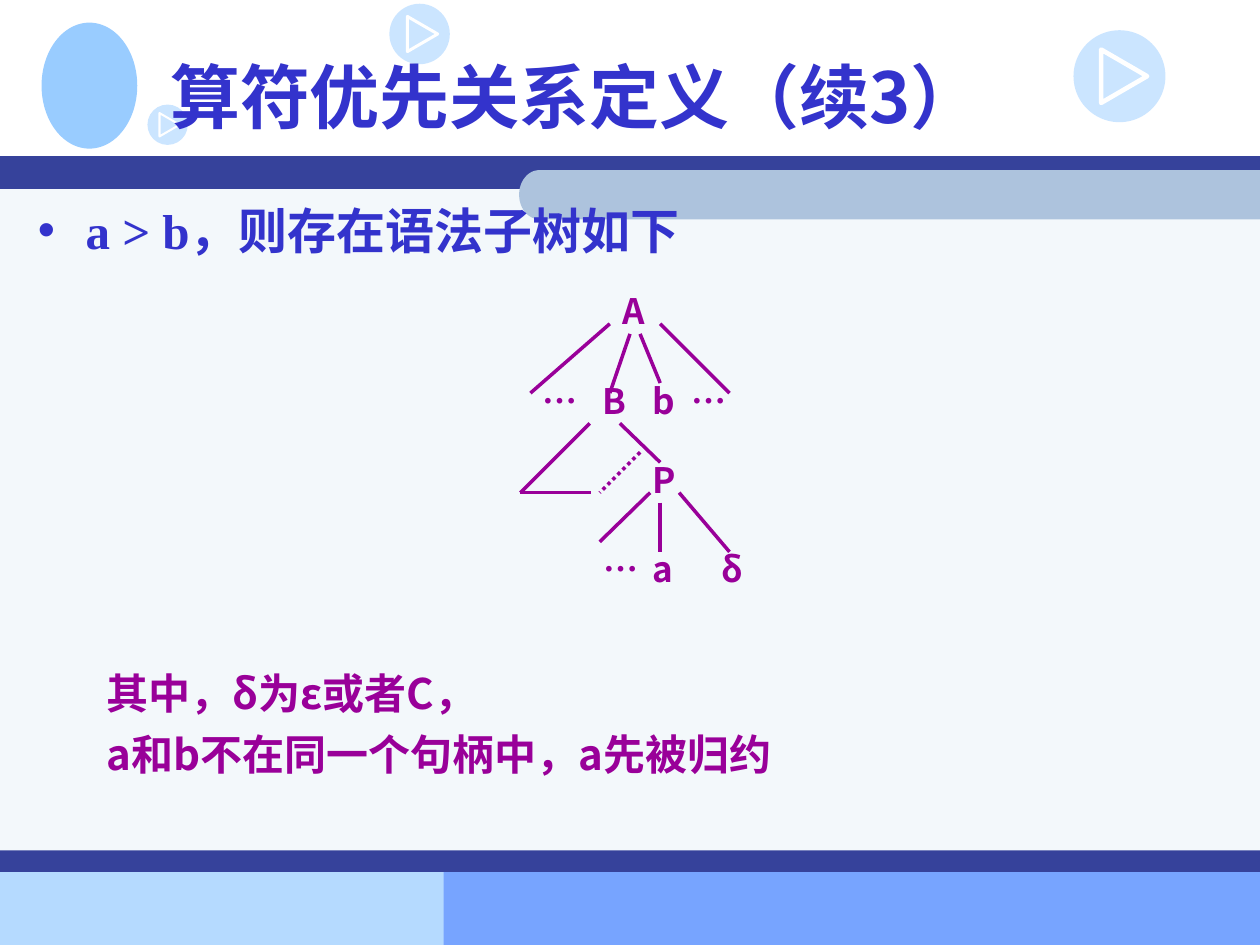
"""Build the slide that defines operator precedence with a syntax subtree."""
import math

from lxml import etree
from pptx import Presentation
from pptx.dml.color import RGBColor
from pptx.enum.dml import MSO_LINE
from pptx.enum.shapes import MSO_CONNECTOR, MSO_SHAPE
from pptx.enum.text import MSO_ANCHOR, MSO_AUTO_SIZE, PP_ALIGN
from pptx.oxml.ns import qn
from pptx.util import Inches, Pt

RECTANGLE, OVAL = MSO_SHAPE.RECTANGLE, MSO_SHAPE.OVAL
STRAIGHT = MSO_CONNECTOR.STRAIGHT
DOTTED = MSO_LINE.ROUND_DOT
TOP, MIDDLE = MSO_ANCHOR.TOP, MSO_ANCHOR.MIDDLE
LEFT = PP_ALIGN.LEFT
NO_AUTOFIT = MSO_AUTO_SIZE.NONE
CJK_FONT, LATIN_FONT = "Noto Sans CJK SC", "Times New Roman"
COLORS = {
    "paper": "F3F8FB",
    "band": "36429B",
    "tab": "ADC3DD",
    "footer_left": "B5DAFF",
    "footer_right": "77A4FF",
    "emblem": "99CCFF",
    "white": "FFFFFF",
    "heading": "3333CC",
    "tree": "990099",
}


def paint(shape, color):
    shape.shadow.inherit = False
    shape.fill.solid()
    shape.fill.fore_color.rgb = RGBColor.from_string(COLORS[color])
    shape.line.fill.background()


def write(shape, box, lines, size, color, font=CJK_FONT, anchor=TOP, hanging=0, bullet=None):
    shape.left, shape.top, shape.width, shape.height = map(Inches, box)
    frame = shape.text_frame
    frame.text = "\n".join(lines)
    frame_format = {"word_wrap": True, "auto_size": NO_AUTOFIT, "vertical_anchor": anchor}
    for name, value in frame_format.items():
        setattr(frame, name, value)
    for index, paragraph in enumerate(frame.paragraphs):
        paragraph.alignment = LEFT
        paragraph.space_before = Pt(6 if index else 0)
        properties = paragraph._p.get_or_add_pPr()
        properties.set("marL", str(Inches(hanging)))
        properties.set("indent", str(-Inches(hanging)))
        if bullet:
            etree.SubElement(properties, qn("a:buChar")).set("char", bullet)
        for run in paragraph.runs:
            for name, value in {"name": font, "size": Pt(size), "bold": True}.items():
                setattr(run.font, name, value)
            run.font.color.rgb = RGBColor.from_string(COLORS[color])
            east_asian = etree.SubElement(run._r.get_or_add_rPr(), qn("a:ea"))
            east_asian.set("typeface", CJK_FONT)


presentation = Presentation()
presentation.slide_width, presentation.slide_height = Inches(10), Inches(7.5)
slide = presentation.slides.add_slide(presentation.slide_layouts[1])
shapes = slide.shapes
title, body = slide.placeholders

panels = [
    ("footer_left", 0, 6.92, 4.25, 0.58),
    ("footer_right", 3.52, 6.91, 6.48, 0.59),
    ("paper", 0, 1.4, 10, 5.51),
    ("band", 0, 1.24, 10, 0.26),
    ("band", 0, 6.75, 10, 0.17),
]
for color, *box in panels:
    paint(shapes.add_shape(RECTANGLE, *map(Inches, box)), color)

tab_left, tab_top, radius_x, radius_y = 4.12, 1.35, 0.16, 0.195
tab_points = [(Inches(10), Inches(tab_top))]
for step in range(25):
    angle = math.pi * step / 24
    tab_points.append((
        Inches(tab_left + radius_x * (1 - math.sin(angle))),
        Inches(tab_top + radius_y * (1 - math.cos(angle))),
    ))
tab_points.append((Inches(10), Inches(tab_top + 2 * radius_y)))
tab_builder = shapes.build_freeform(*tab_points[0])
tab_builder.add_line_segments(tab_points[1:])
paint(tab_builder.convert_to_shape(), "tab")

emblem = shapes.add_shape(OVAL, Inches(0.33), Inches(0.18), Inches(0.76), Inches(1))
paint(emblem, "emblem")

for left, top, size in [(3.09, 0.03, 0.48), (8.52, 0.24, 0.73), (1.17, 0.83, 0.32)]:
    disc = shapes.add_shape(OVAL, Inches(left), Inches(top), Inches(size), Inches(size))
    paint(disc, "emblem")
    disc_color = disc.fill._xPr.find(qn("a:solidFill"))[0]
    etree.SubElement(disc_color, qn("a:alpha")).set("val", "50000")
    corners = [
        (Inches(left + x * size), Inches(top + y * size))
        for x, y in [(0.3, 0.21), (0.8, 0.5), (0.3, 0.79)]
    ]
    play_builder = shapes.build_freeform(*corners[0])
    play_builder.add_line_segments(corners[1:])
    play = play_builder.convert_to_shape()
    play.shadow.inherit = False
    play.fill.background()
    play.line.color.rgb = RGBColor.from_string(COLORS["white"])
    play.line.width = Inches(0.05 * size)
    etree.SubElement(play.line._get_or_add_ln(), qn("a:round"))

for placeholder in (title, body):
    shapes._spTree.append(placeholder._element)
write(title, (1.25, 0.17, 8.5, 1.17), ["算符优先关系定义（续3）"], 40, "heading", anchor=MIDDLE)
write(body, (0.2, 1.54, 9.61, 4.96), ["a > b，则存在语法子树如下"], 28, "heading",
      font=LATIN_FONT, hanging=0.38, bullet="•")
note = shapes.add_textbox(0, 0, 0, 0)
write(note, (0.75, 5.25, 8.67, 1.02), ["其中，δ为ε或者C，", "a和b不在同一个句柄中，a先被归约"],
      24, "tree", hanging=0.38)

tree_rows = [
    (2.25, [("A", 4.84)]),
    (2.96, [("…", 4.21), ("B", 4.68), ("b", 5.08), ("…", 5.39)]),
    (3.59, [("P", 5.08)]),
    (4.3, [("…", 4.69), ("a", 5.08), ("δ", 5.63)]),
]
for top, nodes in tree_rows:
    for symbol, left in nodes:
        write(shapes.add_textbox(0, 0, 0, 0), (left, top, 0.39, 0.44), [symbol], 20, "tree")

branches = [
    (4.84, 2.57, 4.21, 3.12, None),
    (5, 2.65, 4.84, 3.12, None),
    (5.08, 2.65, 5.24, 3.04, None),
    (5.24, 2.57, 5.79, 3.12, None),
    (4.92, 3.36, 5.24, 3.67, None),
    (4.68, 3.36, 4.13, 3.91, None),
    (4.69, 3.91, 4.13, 3.91, None),
    (5.08, 3.59, 4.76, 3.91, DOTTED),
    (5.16, 3.91, 4.76, 4.3, None),
    (5.24, 3.99, 5.24, 4.38, None),
    (5.39, 3.91, 5.79, 4.38, None),
]
for *ends, dash in branches:
    branch = shapes.add_connector(STRAIGHT, *map(Inches, ends))
    branch.line.color.rgb = RGBColor.from_string(COLORS["tree"])
    branch.line.width = Pt(2)
    if dash:
        branch.line.dash_style = dash
    etree.SubElement(branch._element.spPr, qn("a:effectLst"))

presentation.save("out.pptx")
